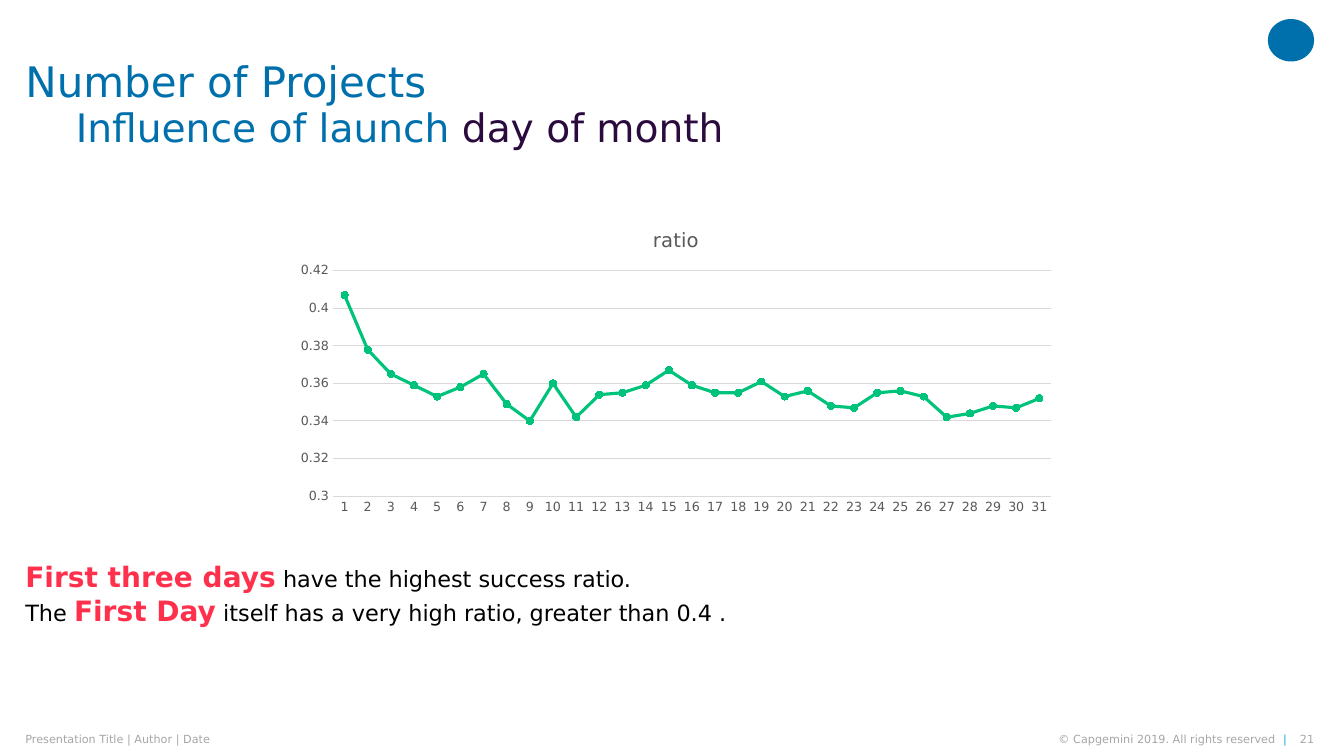
from copy import deepcopy

from lxml import etree
from pptx import Presentation
from pptx.chart.data import CategoryChartData
from pptx.dml.color import RGBColor
from pptx.enum.chart import XL_CHART_TYPE, XL_MARKER_STYLE, XL_TICK_MARK
from pptx.enum.shapes import MSO_SHAPE
from pptx.enum.text import MSO_ANCHOR, MSO_AUTO_SIZE, PP_ALIGN
from pptx.util import Cm, Pt

LINE_MARKERS = XL_CHART_TYPE.LINE_MARKERS
CIRCLE = XL_MARKER_STYLE.CIRCLE
NO_TICK = XL_TICK_MARK.NONE
OVAL = MSO_SHAPE.OVAL
TOP, MIDDLE = MSO_ANCHOR.TOP, MSO_ANCHOR.MIDDLE
LEFT, RIGHT = PP_ALIGN.LEFT, PP_ALIGN.RIGHT

FONT = "DejaVu Sans"
COLORS = {
    "blue": "0070AD",
    "sky": "12ABDB",
    "plum": "2B0A3D",
    "red": "FF304C",
    "green": "00C37B",
    "black": "000000",
    "label": "595959",
    "grid": "D9D9D9",
    "footer": "A6A6A6",
}
STYLES = {
    "heading": (30, "blue", False),
    "subheading": (28, "blue", False),
    "subject": (28, "plum", False),
    "strong": (20, "red", True),
    "plain": (16, "black", False),
    "footer": (8, "footer", False),
    "divider": (8, "sky", False),
}

HEADLINE = [[
    ("Number of Projects", "heading"),
    ("\n", "heading"),
    ("\t", "heading"),
    ("Influence of launch ", "subheading"),
    ("day of month", "subject"),
]]
FINDINGS = [
    [("First three days", "strong"), (" have the highest success ratio.", "plain")],
    [("The ", "plain"), ("First Day", "strong"),
     (" itself has a very high ratio, greater than 0.4 .", "plain")],
]
FOOTERS = [
    ([("Presentation Title | Author | Date", "footer")], 0.64, 13.11, LEFT),
    ([("© Capgemini 2019. All rights reserved  ", "footer"), ("|", "divider")],
     25.04, 7.39, RIGHT),
    ([("21", "footer")], 32.64, 0.48, RIGHT),
]
FOOTER_TOP, FOOTER_HEIGHT = 18.47, 0.33

SERIES_NAME = "ratio"
RATIOS = [
    0.407, 0.378, 0.365, 0.359, 0.353, 0.358, 0.365, 0.349, 0.34, 0.36,
    0.342, 0.354, 0.355, 0.359, 0.367, 0.359, 0.355, 0.355, 0.361, 0.353,
    0.356, 0.348, 0.347, 0.355, 0.356, 0.353, 0.342, 0.344, 0.348, 0.347,
    0.352,
]


def color(name):
    return RGBColor.from_string(COLORS[name])


def set_font(font, size, color_name, bold=False):
    font.name = FONT
    font.size = Pt(size)
    font.bold = bold
    font.color.rgb = color(color_name)


def write(frame, paragraphs, anchor=TOP, align=LEFT, spacing=None, wrap=True):
    frame.margin_left = frame.margin_right = 0
    frame.margin_top = frame.margin_bottom = 0
    frame.word_wrap = wrap
    frame.auto_size = MSO_AUTO_SIZE.NONE
    frame.vertical_anchor = anchor
    for index, pieces in enumerate(paragraphs):
        paragraph = frame.add_paragraph() if index else frame.paragraphs[0]
        paragraph.alignment = align
        paragraph.line_spacing = spacing
        for words, style in pieces:
            if words == "\n":
                previous = paragraph.runs[-1]
                paragraph.add_line_break()
                paragraph._p[-1].append(deepcopy(previous._r.rPr))
                continue
            run = paragraph.add_run()
            run.text = words
            set_font(run.font, *STYLES[style])


def add_ratio_chart(slide):
    data = CategoryChartData()
    data.categories = [str(day) for day in range(1, len(RATIOS) + 1)]
    data.add_series(SERIES_NAME, RATIOS)
    chart = slide.shapes.add_chart(
        LINE_MARKERS, Cm(7.19), Cm(5.31), Cm(19.69), Cm(7.82), data).chart
    set_font(chart.font, 10, "black")
    chart.has_legend = False
    chart.has_title = True
    chart.chart_title.include_in_layout = False
    heading = chart.chart_title.text_frame
    heading.text = SERIES_NAME
    set_font(heading.paragraphs[0].runs[0].font, 14, "label")

    days, ratios = chart.category_axis, chart.value_axis
    for axis in (days, ratios):
        axis.major_tick_mark = axis.minor_tick_mark = NO_TICK
        set_font(axis.tick_labels.font, 9, "label")
    ratios.minimum_scale, ratios.maximum_scale, ratios.major_unit = 0.3, 0.42, 0.02
    ratios.tick_labels.number_format = "General"
    ratios.tick_labels.number_format_is_linked = False
    ratios.format.line.fill.background()
    for line in (days.format.line, ratios.major_gridlines.format.line):
        line.color.rgb = color("grid")
        line.width = Pt(0.75)

    chart.plots[0].vary_by_categories = False
    trend = chart.plots[0].series[0]
    trend.smooth = False
    trend.format.line.color.rgb = color("green")
    trend.format.line.width = Pt(2.25)
    trend.marker.style = CIRCLE
    trend.marker.size = 5
    trend.marker.format.fill.solid()
    trend.marker.format.fill.fore_color.rgb = color("green")
    trend.marker.format.line.color.rgb = color("green")


def main():
    deck = Presentation()
    deck.slide_width, deck.slide_height = Cm(33.87), Cm(19.05)
    slide = deck.slides.add_slide(deck.slide_layouts[5])

    title = slide.shapes.title
    title.left, title.top, title.width, title.height = (
        Cm(0.64), Cm(1.14), Cm(30.91), Cm(3.07))
    write(title.text_frame, HEADLINE, anchor=MIDDLE, spacing=0.9)

    emblem = slide.shapes.add_shape(OVAL, Cm(31.95), Cm(0.48), Cm(1.17), Cm(1.07))
    emblem.shadow.inherit = False
    emblem.fill.solid()
    emblem.fill.fore_color.rgb = color("blue")
    emblem.line.fill.background()

    add_ratio_chart(slide)

    findings = slide.shapes.add_textbox(Cm(0.64), Cm(14.1), Cm(27.94), Cm(3.56))
    write(findings.text_frame, FINDINGS)

    for pieces, left, width, align in FOOTERS:
        footer = slide.shapes.add_textbox(
            Cm(left), Cm(FOOTER_TOP), Cm(width), Cm(FOOTER_HEIGHT))
        write(footer.text_frame, [pieces], anchor=MIDDLE, align=align)

    deck.save("out.pptx")


if __name__ == "__main__":
    main()
